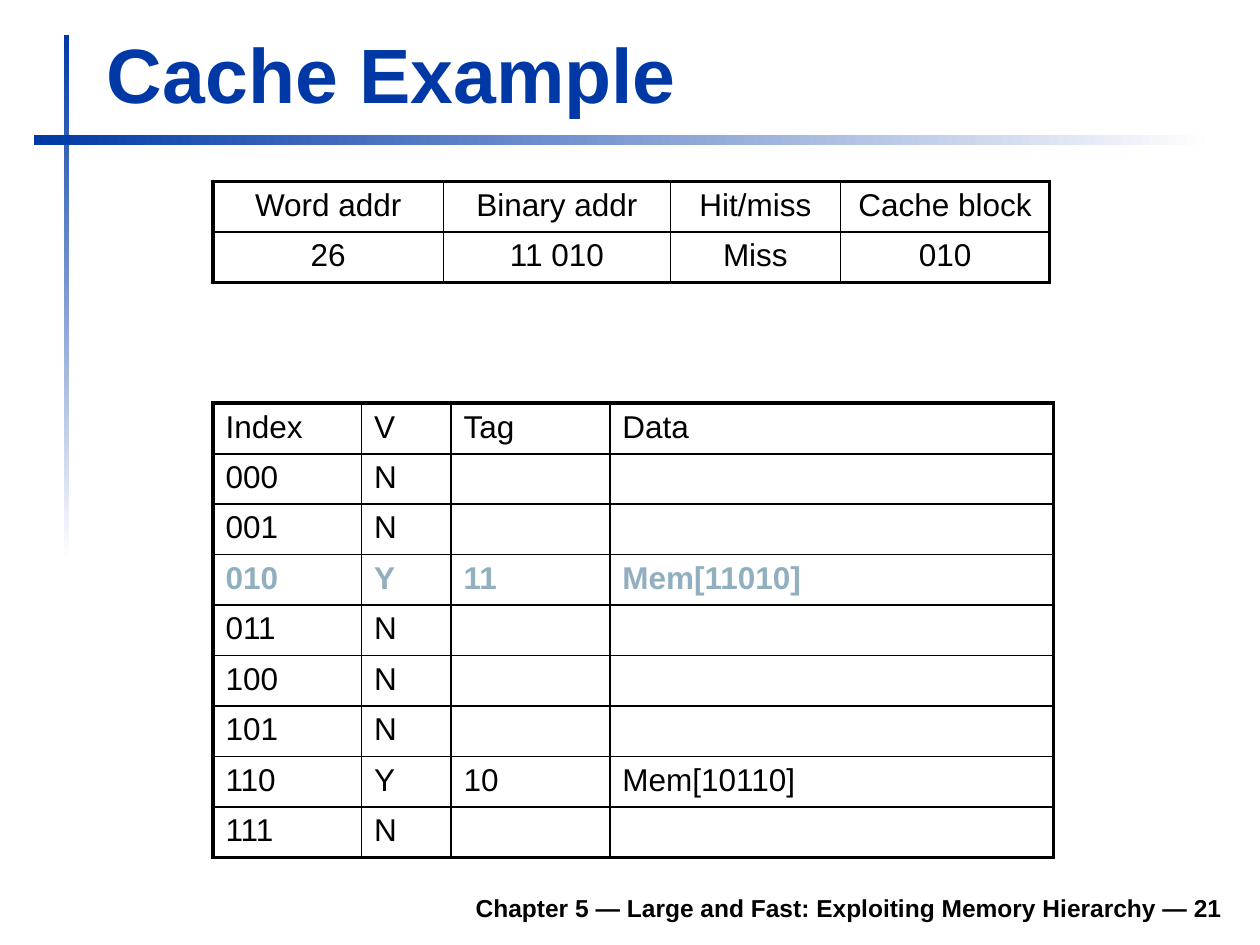
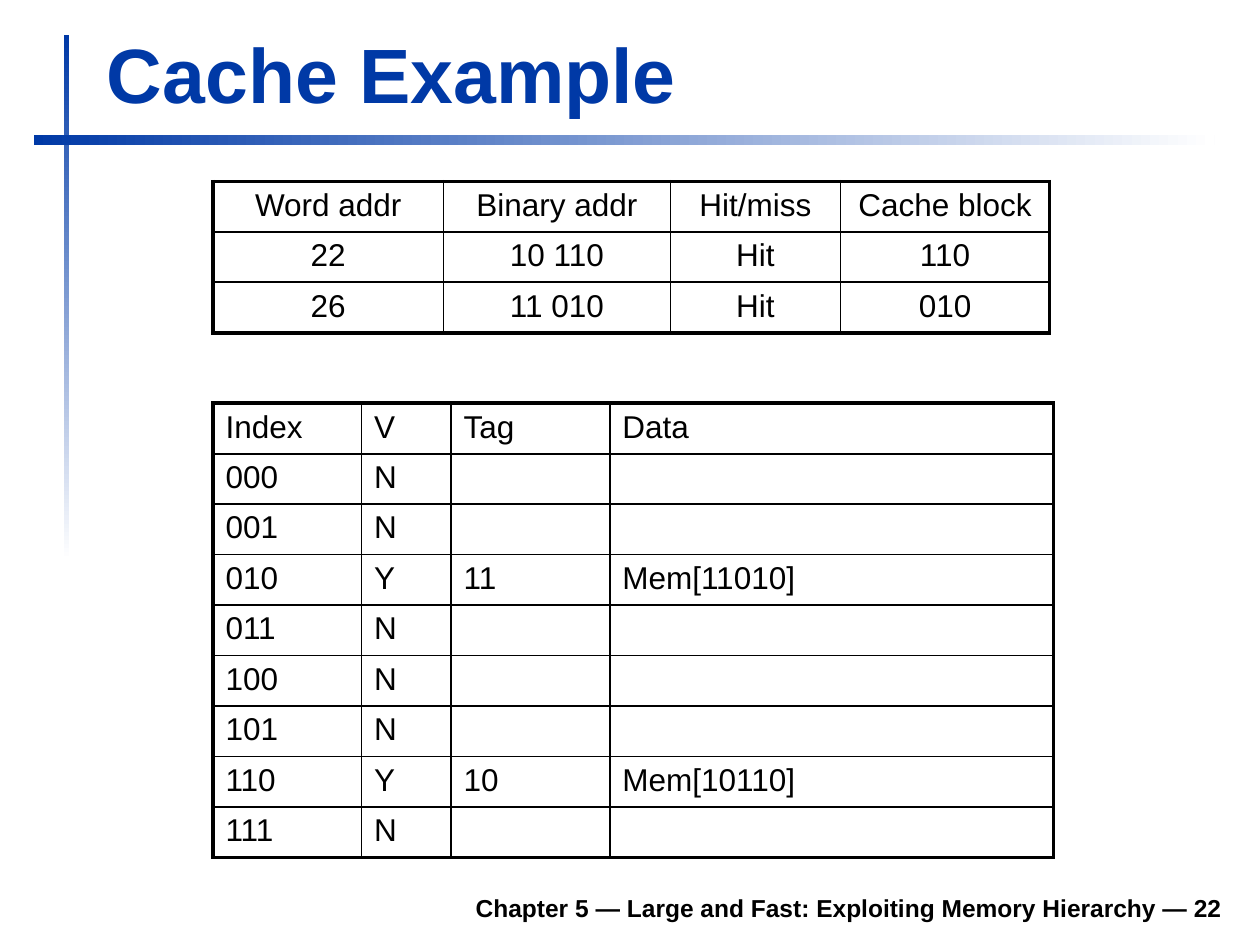
import lxml.etree
import pptx
import pptx.dml.color
import pptx.enum.shapes
import pptx.enum.text
import pptx.oxml.ns
import pptx.util

Inches = pptx.util.Inches
Pt = pptx.util.Pt
RGBColor = pptx.dml.color.RGBColor
Align = pptx.enum.text.PP_ALIGN

BLUE = RGBColor(0x00, 0x39, 0xA6)
BLACK = RGBColor(0x00, 0x00, 0x00)
WHITE = RGBColor(0xFF, 0xFF, 0xFF)
HIGHLIGHT = RGBColor(0x91, 0xAF, 0xBF)

FONT = "Arial"
ROW_HEIGHT = 0.4
OUTER, HEADER, INNER = 2.25, 1.5, 1

CHAPTER = "Chapter 5 — Large and Fast: Exploiting Memory Hierarchy"
ACCESS_HEADER = ["Word addr", "Binary addr", "Hit/miss", "Cache block"]
ACCESS_WIDTHS = [1.83, 1.8, 1.35, 1.66]
CACHE_HEADER = ["Index", "V", "Tag", "Data"]
CACHE_WIDTHS = [1.18, 0.71, 1.26, 3.52]
CACHED_TAGS = {"010": "11", "110": "10"}

PAGES = [
    (21, [["26", "11 010", "Miss", "010"]], "010"),
    (22, [["22", "10 110", "Hit", "110"], ["26", "11 010", "Hit", "010"]], None),
]


def cache_rows():
    rows = [CACHE_HEADER]
    for block in range(8):
        index = f"{block:03b}"
        tag = CACHED_TAGS.get(index)
        rows.append([index, "Y", tag, f"Mem[{tag}{index}]"] if tag else [index, "N", "", ""])
    return rows


class Deck:
    """Holds the shared style and the slide being built."""

    def __init__(self):
        self.presentation = pptx.Presentation()
        self.presentation.slide_width = Inches(10)
        self.presentation.slide_height = Inches(7.5)
        self.slide = None

    def add_slide(self, title, number):
        self.slide = self.presentation.slides.add_slide(self.presentation.slide_layouts[6])
        self.band(0.51, 0.28, 0.04, 4.17, 270)
        self.band(0.27, 1.07, 9.37, 0.08, 0)
        self.text(f"{CHAPTER} — {number}", 1.85, 6.98, 7.95, 0.39, 14, BLACK, Align.RIGHT)
        self.text(title, 0.75, 0.16, 9.03, 0.83, 44, BLUE, Align.LEFT)

    def band(self, left, top, width, height, angle):
        bar = self.slide.shapes.add_shape(
            pptx.enum.shapes.MSO_SHAPE.RECTANGLE,
            Inches(left), Inches(top), Inches(width), Inches(height))
        bar.shadow.inherit = False
        bar.line.fill.background()
        bar.fill.gradient()
        bar.fill.gradient_angle = angle
        for stop, color in zip(bar.fill.gradient_stops, (BLUE, WHITE)):
            stop.color.rgb = color

    def text(self, words, left, top, width, height, size, color, align):
        frame = self.slide.shapes.add_textbox(
            Inches(left), Inches(top), Inches(width), Inches(height)).text_frame
        frame.word_wrap = True
        frame.vertical_anchor = pptx.enum.text.MSO_ANCHOR.BOTTOM
        self.set_words(frame, words, size, color, True, align)

    def set_words(self, frame, words, size, color, bold, align):
        paragraph = frame.paragraphs[0]
        paragraph.text = words
        paragraph.alignment = align
        paragraph.font.name = FONT
        paragraph.font.size = Pt(size)
        paragraph.font.bold = bold
        paragraph.font.color.rgb = color

    def table(self, rows, widths, left, top, align, rule, highlight=None):
        grid = self.slide.shapes.add_table(
            len(rows), len(widths), Inches(left), Inches(top),
            Inches(sum(widths)), Inches(ROW_HEIGHT * len(rows))).table
        grid.first_row = grid.horz_banding = False
        for column, width in zip(grid.columns, widths):
            column.width = Inches(width)
        row_rules = [OUTER, HEADER] + [rule] * (len(rows) - 2) + [OUTER]
        column_rules = [OUTER] + [INNER] * (len(widths) - 1) + [OUTER]
        for r, values in enumerate(rows):
            grid.rows[r].height = Inches(ROW_HEIGHT)
            marked = values[0] == highlight
            for c, value in enumerate(values):
                cell = grid.cell(r, c)
                cell.fill.background()
                self.set_words(cell.text_frame, value, 18,
                               HIGHLIGHT if marked else BLACK, marked, align)
                self.borders(cell, {"L": column_rules[c], "R": column_rules[c + 1],
                                    "T": row_rules[r], "B": row_rules[r + 1]})

    def borders(self, cell, widths):
        qn = pptx.oxml.ns.qn
        properties = cell._tc.get_or_add_tcPr()
        for position, (side, width) in enumerate(widths.items()):
            line = lxml.etree.Element(qn(f"a:ln{side}"), w=str(Pt(width)))
            fill = lxml.etree.SubElement(line, qn("a:solidFill"))
            lxml.etree.SubElement(fill, qn("a:srgbClr"), val=str(BLACK))
            properties.insert(position, line)


def main():
    deck = Deck()
    for number, accesses, highlight in PAGES:
        deck.add_slide("Cache Example", number)
        deck.table(cache_rows(), CACHE_WIDTHS, 1.69, 3.2, Align.LEFT, INNER, highlight)
        deck.table([ACCESS_HEADER] + accesses, ACCESS_WIDTHS, 1.69, 1.44,
                   Align.CENTER, HEADER)
    deck.presentation.save("out.pptx")


if __name__ == "__main__":
    main()
